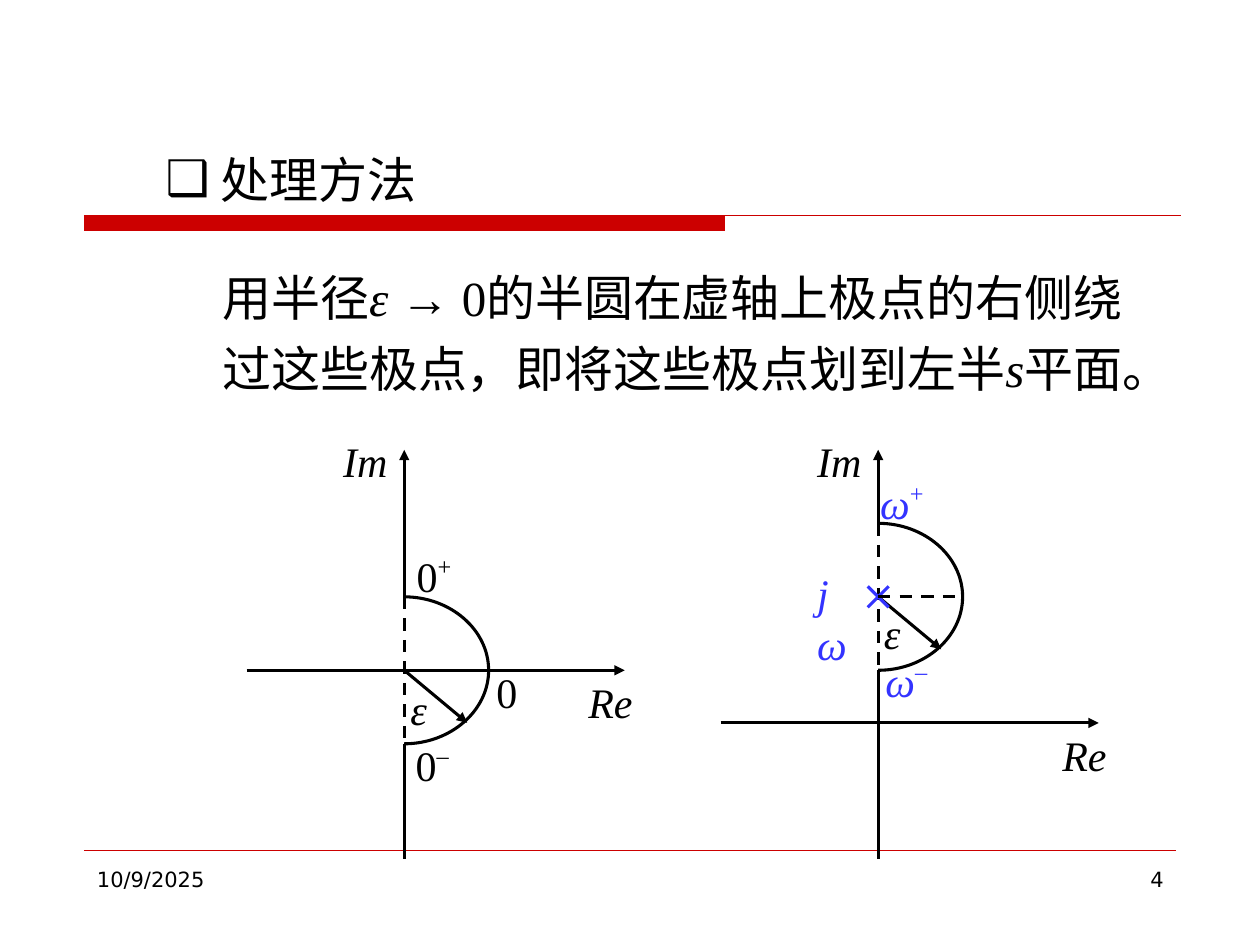
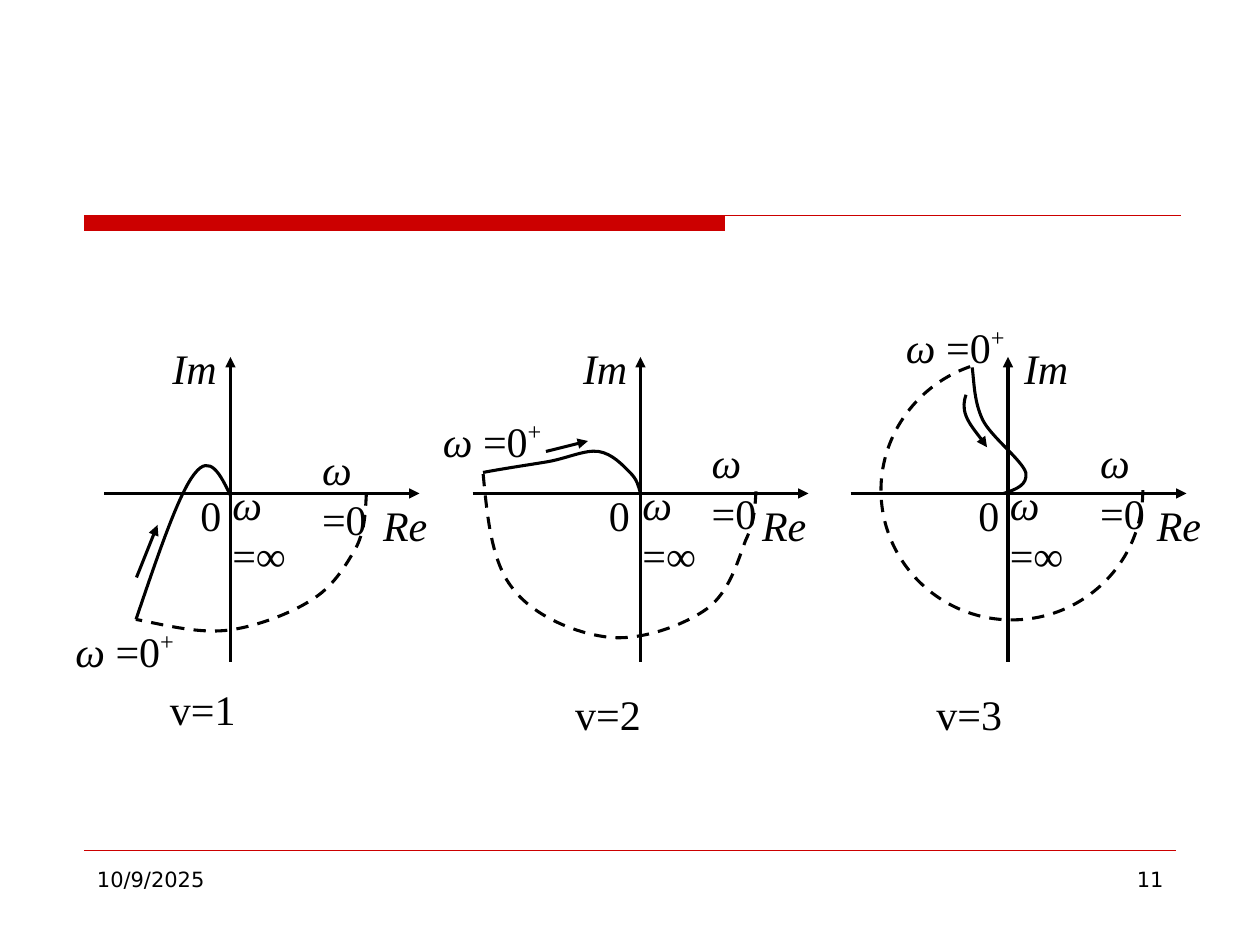
from copy import deepcopy
from dataclasses import dataclass
from typing import Any, NamedTuple

from lxml import etree
from pptx import Presentation
from pptx import util as u
from pptx.dml.color import RGBColor
from pptx.enum import dml, shapes, text
from pptx.oxml.ns import qn

COLS, ROWS = 120, 90
SLIDE_W, SLIDE_H = u.Inches(10), u.Inches(7.5)
COLORS = {"ink": "000000", "red": "CC0000", "blue": "3333FF"}
SERIF, SANS = "Times New Roman", "DejaVu Sans"
LABEL_H = 6
WIDTHS = {"ε": 4.2, "0": 4.4, "0–": 5.8, "0+": 5.9, "ω–": 6.5, "ω+": 6.7, "jω": 6.1,
          "Re": 6.7, "Im": 6.7, "ω =0": 10.3, "ω =∞": 11.1, "ω =0+": 11.9,
          "v=1": 8.8, "v=2": 8.8, "v=3": 8.8}
DATE = "10/9/2025"

Point = tuple[float, float]


class Run(NamedTuple):
    text: str
    italic: bool = False
    raised: bool = False


class Label(NamedTuple):
    runs: list[Run]
    at: Point
    color: str = "ink"


@dataclass
class Detour:
    pole: Point
    re_row: float
    labels: list[Label]


@dataclass
class Nyquist:
    origin_col: float
    re_span: Point
    curve: list[Point]
    closing: list[Point]
    hint: list[Point]
    start_at: Point
    zero_at: Point
    re_col: float
    im_col: float
    origin_label_col: float
    caption: str
    caption_at: Point


RE, IM, ZERO = [Run("Re", True)], [Run("Im", True)], [Run("0")]
EPSILON, OMEGA = [Run("ε", True)], Run("ω", True)
PLUS, MINUS = Run("+", raised=True), Run("–", raised=True)
SEMICIRCLE = [(0, -7), (4.4, -7), (8.04, -3.87), (8.04, 0), (8.04, 3.87), (4.4, 7), (0, 7)]

DETOURS = [
    Detour((38.5, 63.84), 63.84, [
        Label(EPSILON, (37.9, 64.55)),
        Label([Run("0"), MINUS], (38.4, 69.8)),
        Label([Run("0"), PLUS], (38.5, 51.8)),
        Label(ZERO, (46.1, 62.9)),
    ]),
    Detour((83.64, 56.84), 68.85, [
        Label(EPSILON, (83, 57.25)),
        Label([OMEGA, MINUS], (83.15, 61.8), "blue"),
        Label([OMEGA, PLUS], (82.65, 44.9), "blue"),
        Label([Run("jω", True)], (76.65, 53.5), "blue"),
    ]),
]

PLOTS = [
    Nyquist(21.95, (9.95, 39.95),
            [(12.95, 59), (15, 53), (17, 47), (18.55, 45.1), (20, 43.2), (21, 45.2),
             (21.95, 47.2)],
            [(34.9, 47), (34.8, 48.7), (34.8, 50.3), (34, 52), (33.1, 53.6), (31.9, 55.7),
             (29.9, 57), (28, 58.3), (24.7, 59.6), (21.95, 60), (19.1, 60.4), (16, 59.6),
             (12.95, 59)],
            [(13, 55), (15, 50)],
            (6, 59), (29.5, 41.65), 35.3, 15.25, 17.9, "v=1", (15, 64.55)),
    Nyquist(61, (45, 77),
            [(46, 45), (48.1, 44.6), (50.2, 44.3), (52, 44), (53.9, 43.7), (55.7, 42.8),
             (57, 43), (58.3, 43.2), (59.3, 44.3), (60, 45), (60.7, 45.7), (60.8, 46.3), (61, 47)],
            [(72, 46.8), (71.9, 48.2), (71.9, 49.6), (71, 51.5), (70.3, 53.3), (69.5, 56.4),
             (67.3, 58), (65.2, 59.5), (61.2, 61), (58.1, 60.7), (55, 60.4), (50.8, 58.7),
             (48.8, 56), (46.8, 53.5), (46.4, 49.2), (46, 45)],
            [(52, 43), (56, 42)],
            (41, 39), (66.6, 41), 71.4, 54.35, 56.8, "v=2", (53.6, 65)),
    Nyquist(96, (81, 113),
            [(92.6, 35), (92.8, 36.7), (92.8, 38.3), (93.6, 40), (94.4, 41.6), (97.3, 43.8),
             (97.7, 45), (97.9, 46.2), (96.8, 46.6), (95.6, 47)],
            [(108.84, 46.68), (108.84, 53.5), (103.3, 59.04), (96.36, 59.04), (89.5, 59.04),
             (83.9, 53.5), (83.9, 46.68), (83.9, 41.3), (87.5, 36.5), (92.6, 34.85)],
            [(92, 37.6), (91.8, 38.2), (91.7, 38.8), (92, 39.6), (92.3, 40.4), (93.7, 42.1),
             (94, 42.6)],
            (85.1, 30), (103.6, 41), 109, 96.35, 92, "v=3", (88, 65)),
]


def x(col: float) -> int:
    return round(SLIDE_W * col / COLS)


def y(row: float) -> int:
    return round(SLIDE_H * row / ROWS)


def rgb(name: str) -> RGBColor:
    return RGBColor.from_string(COLORS[name])


def apply(obj: Any, values: dict[str, Any]) -> None:
    for name, value in values.items():
        setattr(obj, name, value)


def stroke(sp: Any, color: str = "ink", width: float = 1.75,
           dashed: bool = False, arrow: bool = False) -> None:
    sp.line.color.rgb = rgb(color)
    sp.line.width = u.Pt(width)
    if dashed:
        sp.line.dash_style = dml.MSO_LINE.DASH
    if arrow:
        etree.SubElement(sp.line._get_or_add_ln(), qn("a:tailEnd"), type="triangle")


def line(s: Any, start: Point, end: Point, **style: Any) -> None:
    sp = s.shapes.add_connector(shapes.MSO_CONNECTOR.STRAIGHT,
                                x(start[0]), y(start[1]), x(end[0]), y(end[1]))
    stroke(sp, **style)
    etree.SubElement(sp._element.spPr, qn("a:effectLst"))


def curve(s: Any, points: list[Point], **style: Any) -> None:
    nodes = [(x(col), y(row)) for col, row in points]
    builder = s.shapes.build_freeform(*nodes[0])
    builder.add_line_segments(nodes[1:], close=False)
    sp = builder.convert_to_shape()
    outline = sp._element.find(".//" + qn("a:path"))
    segments = outline.findall(qn("a:lnTo"))
    for i in range(0, len(segments), 3):
        bend = etree.SubElement(outline, qn("a:cubicBezTo"))
        for segment in segments[i:i + 3]:
            bend.append(segment[0])
            outline.remove(segment)
    sp.shadow.inherit = False
    sp.fill.background()
    stroke(sp, **style)


def band(s: Any) -> None:
    left, split, right, top, bottom = x(8), x(69.1), x(112.5), y(20.5), y(22)
    builder = s.shapes.build_freeform(left, top)
    builder.add_line_segments([(split, top), (split, bottom), (left, bottom)], close=True)
    builder.move_to(left, top)
    builder.add_line_segments([(right, top)], close=False)
    sp = builder.convert_to_shape()
    block = sp._element.find(".//" + qn("a:path"))
    rule = deepcopy(block)
    block.addnext(rule)
    block.set("stroke", "0")
    for part in block[-2:]:
        block.remove(part)
    for part in rule[:-2]:
        rule.remove(part)
    sp.shadow.inherit = False
    sp.fill.solid()
    sp.fill.fore_color.rgb = rgb("red")
    stroke(sp, color="red", width=0.75)


def write(s: Any, runs: list[Run], at: Point, size: Point, points: float = 24,
          font: str = SERIF, color: str = "ink", bullet: str = "", **para: Any) -> None:
    tf = s.shapes.add_textbox(x(at[0]), y(at[1]), x(size[0]), y(size[1])).text_frame
    tf.word_wrap = True
    p = tf.paragraphs[0]
    apply(p, para)
    if bullet:
        pPr = p._p.get_or_add_pPr()
        pPr.set("marL", str(x(5.2)))
        pPr.set("indent", str(-x(5.2)))
        etree.SubElement(pPr, qn("a:buFont"), typeface=SANS)
        etree.SubElement(pPr, qn("a:buChar"), char=bullet)
    for run in runs:
        r = p.add_run()
        r.text = run.text
        apply(r.font, {"size": u.Pt(points), "name": font, "italic": run.italic})
        r.font.color.rgb = rgb(color)
        if run.raised:
            r.font._element.set("baseline", "40000")


def put(s: Any, label: Label) -> None:
    width = WIDTHS["".join(run.text for run in label.runs)]
    write(s, label.runs, label.at, (width, LABEL_H), color=label.color)


def add_slide(prs: Any, number: int) -> Any:
    s = prs.slides.add_slide(prs.slide_layouts[6])
    band(s)
    line(s, (8, 81), (112, 81), color="red", width=0.25)
    footer = {"size": (26, 6.2), "points": 12, "font": SANS}
    write(s, [Run(DATE)], (8.05, 81.94), **footer)
    write(s, [Run(str(number))], (86, 81.94), alignment=text.PP_ALIGN.RIGHT, **footer)
    return s


def draw_detour(s: Any, d: Detour) -> Any:
    g = s.shapes.add_group_shape()
    col, row = d.pole
    line(g, (col - 15, d.re_row), (col + 21, d.re_row), arrow=True)
    curve(g, [(col + dx, row + dy) for dx, dy in SEMICIRCLE])
    line(g, (col, row + 7), (col, 81.84))
    line(g, (col, row - 7), (col, 42.84), arrow=True)
    line(g, (col, row - 7), (col, row + 7), dashed=True)
    line(g, d.pole, (col + 6, row + 5), arrow=True)
    for label in [*d.labels, Label(RE, (col + 16.35, d.re_row)), Label(IM, (col - 7, 40.9))]:
        put(g, label)
    return g


def draw_nyquist(s: Any, n: Nyquist) -> None:
    g = s.shapes.add_group_shape()
    line(g, (n.re_span[0], 47), (n.re_span[1], 47), arrow=True)
    line(g, (n.origin_col, 63), (n.origin_col, 34), arrow=True)
    curve(g, n.curve)
    curve(g, n.closing, dashed=True)
    if len(n.hint) == 2:
        line(g, *n.hint, arrow=True)
    else:
        curve(g, n.hint, arrow=True)
    for label in [
        Label([OMEGA, Run(" =0")], n.zero_at),
        Label([OMEGA, Run(" =∞")], (n.origin_col - 1, 45)),
        Label([OMEGA, Run(" =0"), PLUS], n.start_at),
        Label(ZERO, (n.origin_label_col, 46)),
        Label(RE, (n.re_col, 47)),
        Label(IM, (n.im_col, 32)),
        Label([Run(n.caption)], n.caption_at),
    ]:
        put(g, label)


def method_slide(prs: Any) -> None:
    s = add_slide(prs, 4)
    write(s, [Run("处理方法")], (14.6, 12.8), (92, 7.7), 28, bullet="❑", line_spacing=1.15)
    write(s, [Run("用半径"), Run("ε ", True),
              Run("→ 0的半圆在虚轴上极点的右侧绕过这些极点，即将这些极点划到左半"),
              Run("s", True), Run("平面。")],
          (20, 23.8), (92, 14.6), 28, line_spacing=1.2)
    groups = [draw_detour(s, detour) for detour in DETOURS]
    col, row = DETOURS[1].pole
    for slope in (1, -1):
        line(groups[1], (col - 1, row - slope), (col + 1, row + slope), color="blue")
    line(groups[1], (col, row), (col + 8.04, row), dashed=True)


def nyquist_slide(prs: Any) -> None:
    s = add_slide(prs, 11)
    for plot in PLOTS:
        draw_nyquist(s, plot)


def main() -> None:
    prs = Presentation()
    apply(prs, {"slide_width": SLIDE_W, "slide_height": SLIDE_H})
    method_slide(prs)
    nyquist_slide(prs)
    prs.save("out.pptx")


if __name__ == "__main__":
    main()
